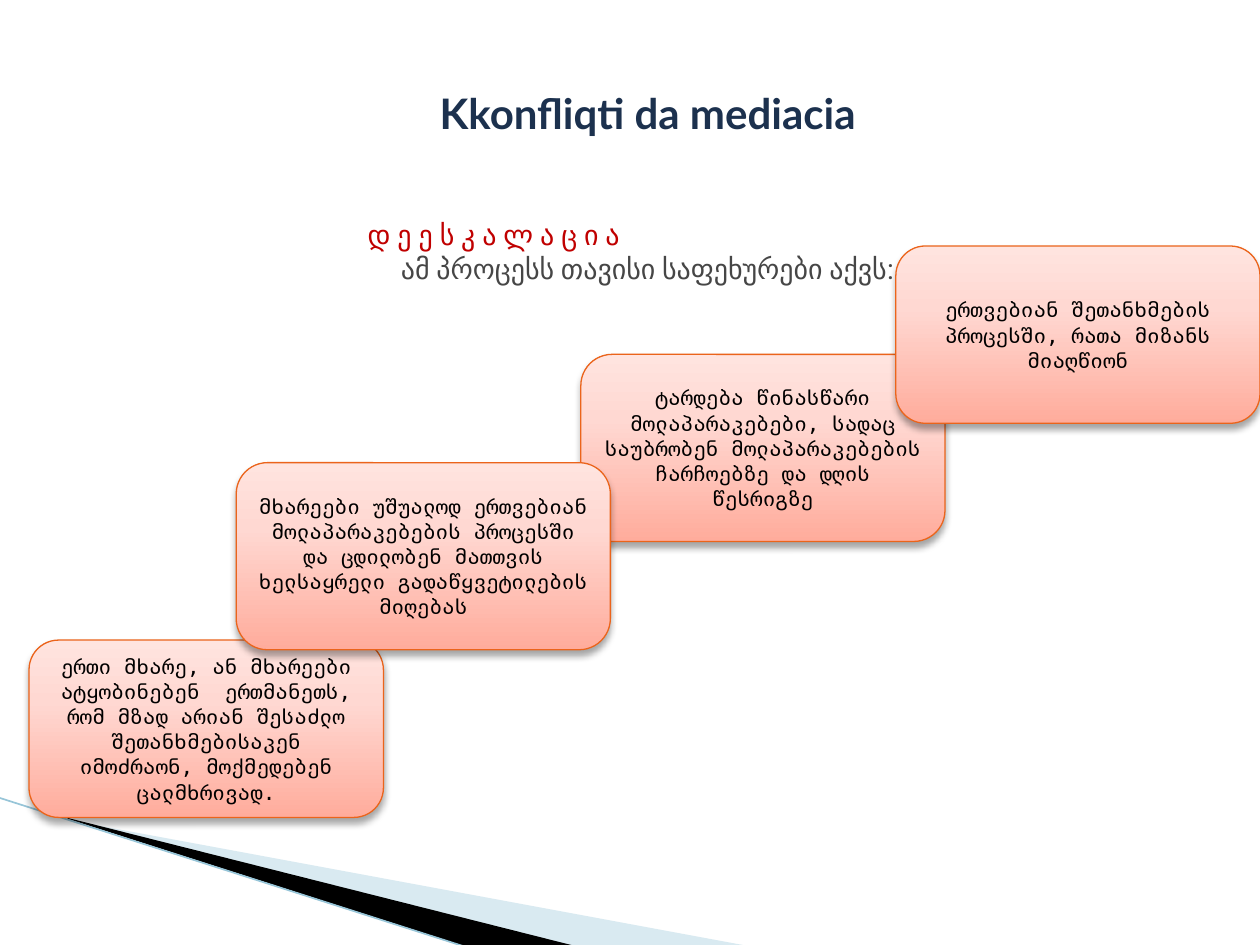
from dataclasses import dataclass
from lxml.etree import SubElement
from pptx import Presentation
from pptx.dml.color import RGBColor
from pptx.enum.shapes import MSO_CONNECTOR as CONN, MSO_SHAPE as SHAPE
from pptx.enum.text import MSO_ANCHOR as ANCHOR, PP_ALIGN as ALIGN
from pptx.oxml.ns import qn
from pptx.slide import Slide
from pptx.util import Pt

BLACK = RGBColor(0x00, 0x00, 0x00)
NAVY = RGBColor(0x1C, 0x31, 0x4E)
RED = RGBColor(0xC0, 0x00, 0x00)
GRAY = RGBColor(0x46, 0x46, 0x46)
ORANGE = RGBColor(0xEB, 0x64, 0x1B)
PALE_BLUE = RGBColor(0xA0, 0xCB, 0xDC)
LINE_BLUE = RGBColor(0x97, 0xC5, 0xD8)
PEACH_STOPS = (
    (0, RGBColor(0xFF, 0xAC, 0x9C)),
    (65, RGBColor(0xFF, 0xD8, 0xD2)),
    (100, RGBColor(0xFF, 0xE4, 0xDF)),
)


def write(p, text, size=16, font="Roboto", color=GRAY, bold=False,
          align=ALIGN.CENTER, spacing=None, before=0):
    p.alignment = align
    p.space_before = Pt(before)
    if spacing:
        p.line_spacing = spacing
    r = p.add_run()
    r.text = text
    r.font.size = Pt(size)
    r.font.name = font
    r.font.bold = bold
    r.font.color.rgb = color


def add_color(parent, color, alpha=None):
    clr = SubElement(parent, qn("a:srgbClr"), val=str(color))
    if alpha is not None:
        SubElement(clr, qn("a:alpha"), val=str(alpha * 1000))


@dataclass
class Deck:
    s: Slide
    step_font: str = "DejaVu Sans Mono"
    step_size: float = 12
    step_line: float = 0.75

    def text_box(self, x, y, w, h, anchor=ANCHOR.TOP):
        tf = self.s.shapes.add_textbox(Pt(x), Pt(y), Pt(w), Pt(h)).text_frame
        tf.word_wrap = True
        tf.vertical_anchor = anchor
        tf.margin_top = tf.margin_bottom = 0
        return tf

    def wedge(self, points, color, alpha=None):
        start, *rest = [(Pt(x), Pt(y)) for x, y in points]
        fb = self.s.shapes.build_freeform(*start)
        fb.add_line_segments(rest, close=True)
        sp = fb.convert_to_shape()
        sp.shadow.inherit = False
        sp.line.fill.background()
        sp.fill.solid()
        sp.fill.fore_color.rgb = color
        if alpha is not None:
            clr = sp._element.spPr.find(".//" + qn("a:srgbClr"))
            SubElement(clr, qn("a:alpha"), val=str(alpha * 1000))

    def line(self, x1, y1, x2, y2, color, width):
        cx = self.s.shapes.add_connector(
            CONN.STRAIGHT, Pt(x1), Pt(y1), Pt(x2), Pt(y2))
        cx.line.color.rgb = color
        cx.line.width = Pt(width)
        SubElement(cx._element.spPr, qn("a:effectLst"))

    def step(self, x, y, w, h, text):
        sp = self.s.shapes.add_shape(
            SHAPE.ROUNDED_RECTANGLE, Pt(x), Pt(y), Pt(w), Pt(h))
        sp.line.color.rgb = ORANGE
        sp.line.width = Pt(self.step_line)
        sp.fill.gradient()
        sp.fill.gradient_angle = 90
        stops = sp._element.spPr.find(".//" + qn("a:gsLst"))
        for gs in list(stops):
            stops.remove(gs)
        for pos, color in PEACH_STOPS:
            add_color(SubElement(stops, qn("a:gs"), pos=str(pos * 1000)), color)
        sp.shadow.inherit = False
        effects = sp._element.spPr.find(qn("a:effectLst"))
        shadow = SubElement(
            effects, qn("a:outerShdw"), blurRad=str(Pt(4)), dist=str(Pt(3)),
            dir="5400000", rotWithShape="0")
        add_color(shadow, BLACK, 35)
        tf = sp.text_frame
        tf.word_wrap = True
        tf.vertical_anchor = ANCHOR.MIDDLE
        write(tf.paragraphs[0], text, size=self.step_size,
              font=self.step_font, color=BLACK)


prs = Presentation()
prs.slide_width, prs.slide_height = Pt(720), Pt(540)
deck = Deck(prs.slides.add_slide(prs.slide_layouts[6]))

deck.wedge([(39.6, 468.7), (428.4, 540.7), (328.3, 540.7), (39.6, 468)],
           PALE_BLUE, alpha=40)
deck.wedge([(38.2, 467.3), (329, 540.7), (267.8, 541.4), (38.9, 468)], BLACK)
deck.line(-0.7, 455.8, 267.1, 541.4, LINE_BLUE, 0.95)

body = deck.text_box(56.2, 128, 627.8, 300)
heading = body.paragraphs[0]
write(heading, "დ ე ე ს კ ა ლ ა ც ი ა", color=RED, align=ALIGN.LEFT, spacing=0.8)
heading._p.get_or_add_pPr().set("marL", str(Pt(146.8)))
write(body.add_paragraph(), "ამ პროცესს თავისი საფეხურები აქვს:",
      spacing=0.8, before=4)

title = deck.text_box(56.2, 16.6, 627.8, 95, ANCHOR.MIDDLE)
write(title.paragraphs[0], "Kkonfliqti da mediacia",
      size=24, font="Lato", color=NAVY, bold=True)

STEPS = (
    (16.6, 365.8, 202.5, 101.3,
     "ერთი მხარე, ან მხარეები ატყობინებენ  ერთმანეთს, რომ მზად არიან "
     "შესაძლო შეთანხმებისაკენ იმოძრაონ, მოქმედებენ ცალმხრივად."),
    (331.9, 202.5, 208.1, 106.9,
     "ტარდება წინასწარი მოლაპარაკებები, სადაც საუბრობენ "
     "მოლაპარაკებების ჩარჩოებზე და დღის წესრიგზე"),
    (135, 264.4, 213.8, 106.9,
     "მხარეები უშუალოდ ერთვებიან მოლაპარაკებების პროცესში და ცდილობენ "
     "მათთვის ხელსაყრელი გადაწყვეტილების მიღებას"),
    (511.9, 140.6, 208.1, 101.3,
     "ერთვებიან შეთანხმების პროცესში, რათა მიზანს მიაღწიონ"),
)
for step in STEPS:
    deck.step(*step)

prs.save("out.pptx")
